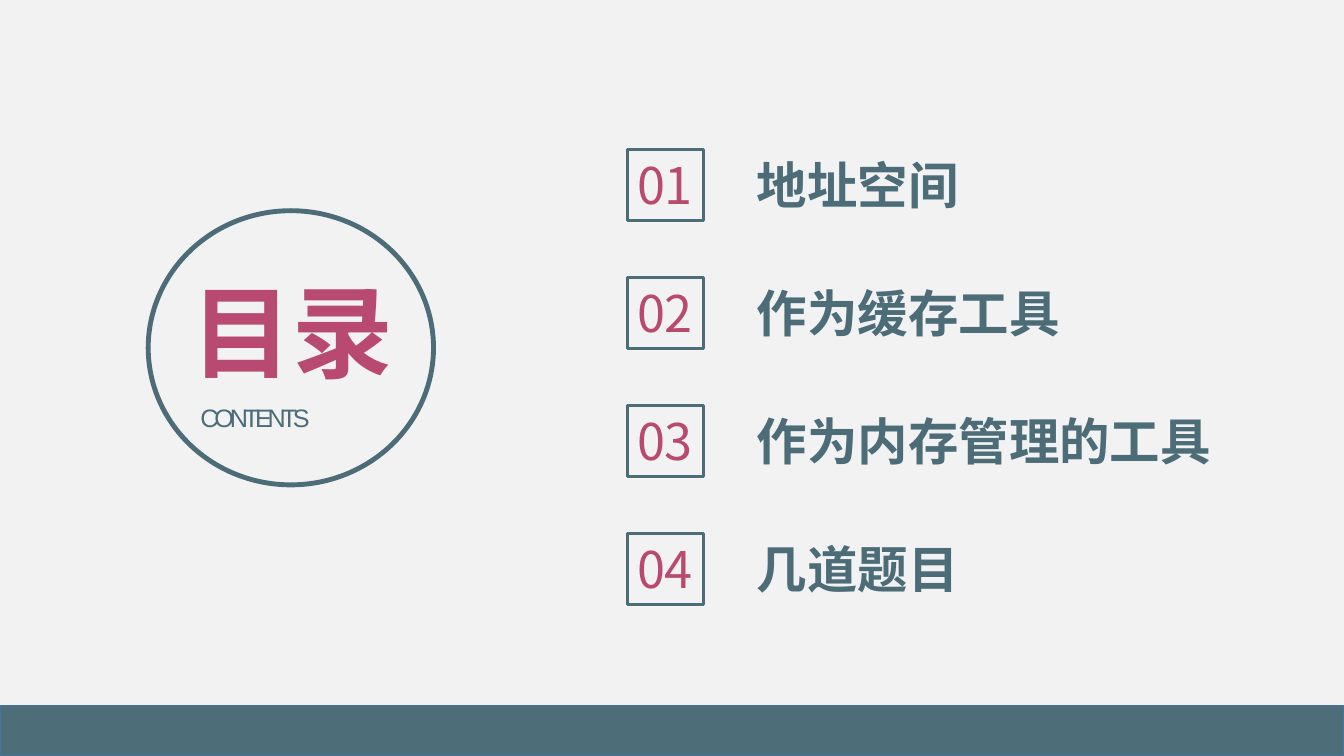
from pptx import Presentation
from pptx.dml.color import RGBColor
from pptx.enum.shapes import MSO_SHAPE
from pptx.enum.text import MSO_ANCHOR, MSO_AUTO_SIZE, PP_ALIGN
from pptx.oxml.ns import qn
from pptx.util import Inches, Pt
from lxml.etree import SubElement


def color(hex_code):
    return RGBColor.from_string(hex_code)


class ContentsSlide:
    TEAL = "4C6D78"
    ROSE = "B84970"
    BAND = "4D6D78"
    BAND_EDGE = "43739E"
    BACKGROUND = "F2F2F2"
    CJK = "Noto Sans CJK SC"
    LATIN = "Arial"

    def __init__(self, presentation):
        self.slide = presentation.slides.add_slide(presentation.slide_layouts[5])
        background = self.slide.background.fill
        background.solid()
        background.fore_color.rgb = color(self.BACKGROUND)

    def set_text(self, holder, text, size, ink, font_name=CJK, bold=False,
                 align=PP_ALIGN.LEFT, spacing=None):
        frame = holder.text_frame
        frame.text = text
        frame.word_wrap = False
        frame.auto_size = MSO_AUTO_SIZE.SHAPE_TO_FIT_TEXT
        frame.vertical_anchor = MSO_ANCHOR.TOP
        paragraph = frame.paragraphs[0]
        paragraph.alignment = align
        font = paragraph.font
        font.size = Pt(size)
        font.bold = bold
        font.color.rgb = color(ink)
        font.name = font_name
        properties = font._element
        SubElement(properties, qn("a:ea")).set("typeface", font_name)
        if spacing is not None:
            properties.set("spc", str(spacing * 100))

    def title(self, text, left, top, width, height):
        heading = self.slide.shapes.title
        heading.left, heading.top = Inches(left), Inches(top)
        heading.width, heading.height = Inches(width), Inches(height)
        self.set_text(heading, text, 72, self.ROSE, bold=True)

    def label(self, text, left, top, width, height, size, **style):
        box = self.slide.shapes.add_textbox(
            Inches(left), Inches(top), Inches(width), Inches(height))
        self.set_text(box, text, size, self.TEAL, **style)
        return box

    def outline(self, kind, left, top, width, height, weight, edge=TEAL, fill=None):
        shape = self.slide.shapes.add_shape(
            kind, Inches(left), Inches(top), Inches(width), Inches(height))
        shape.shadow.inherit = False
        shape.line.color.rgb = color(edge)
        shape.line.width = Pt(weight)
        if fill:
            shape.fill.solid()
            shape.fill.fore_color.rgb = color(fill)
        else:
            shape.fill.background()
        return shape

    def entry(self, number, topic, top, width):
        square = self.outline(MSO_SHAPE.RECTANGLE, 6.22, top, 0.76, 0.71, 2)
        self.set_text(square, f"{number:02d}", 36, self.ROSE)
        self.label(topic, 7.41, top, width, 0.71, 36, bold=True)


def main():
    presentation = Presentation()
    presentation.slide_width = Inches(13.33)
    presentation.slide_height = Inches(7.5)
    contents = ContentsSlide(presentation)

    contents.outline(MSO_SHAPE.OVAL, 1.47, 2.09, 2.83, 2.72, 3.5)
    contents.title("目录", 1.8, 2.63, 2.22, 1.31)
    subtitle = contents.label("CONTENTS", 1.89, 3.94, 2.03, 0.4, 18,
                              font_name=contents.LATIN,
                              align=PP_ALIGN.JUSTIFY, spacing=-3)
    subtitle.text_frame.word_wrap = True

    topics = ["地址空间", "作为缓存工具", "作为内存管理的工具", "几道题目"]
    for index, topic in enumerate(topics):
        contents.entry(index + 1, topic, 1.48 + 1.27 * index, 0.2 + 0.5 * len(topic))

    contents.outline(MSO_SHAPE.RECTANGLE, 0, 7, 13.33, 0.5, 1,
                     edge=contents.BAND_EDGE, fill=contents.BAND)
    presentation.save("out.pptx")


if __name__ == "__main__":
    main()
